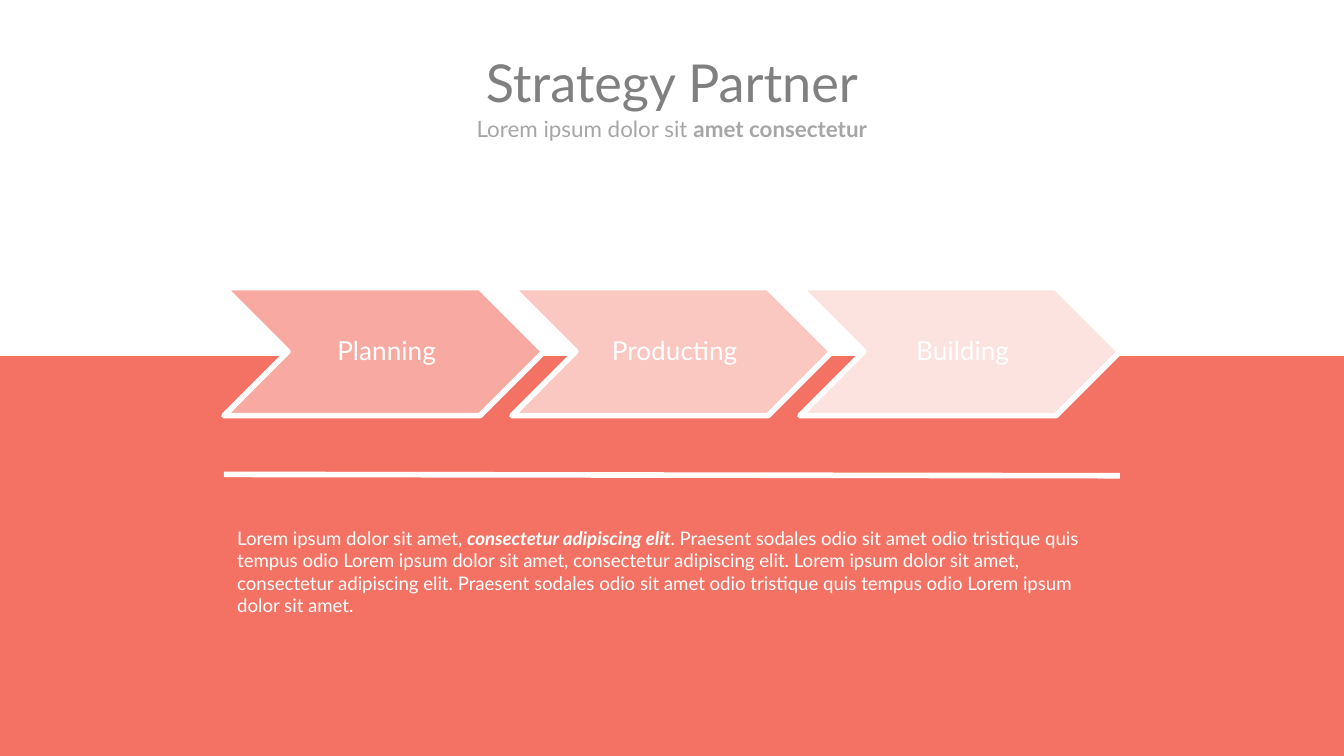
import pptx
import pptx.util
import pptx.dml.color
import pptx.enum.shapes
import pptx.enum.text
import pptx.oxml.ns
from lxml import etree

COLORS = {"coral": "F47264", "white": "FFFFFF", "title": "808080", "subtitle": "A6A6A6"}
FONT = "Lato"
TITLE = [("Strategy Partner", "")]
SUBTITLE = [("Lorem ipsum dolor sit ", ""), ("amet consectetur", "b")]
STEPS = [("Planning", "F8AAA2"), ("Producting", "FBC7C1"), ("Building", "FDE3E0")]
BODY = [
    ("Lorem ipsum dolor sit amet, ", ""),
    ("consectetur adipiscing elit", "bi"),
    (". Praesent sodales odio sit amet odio tristique quis tempus odio "
     "Lorem ipsum dolor sit amet, consectetur adipiscing elit. "
     "Lorem ipsum dolor sit amet, consectetur adipiscing elit. "
     "Praesent sodales odio sit amet odio tristique quis tempus odio "
     "Lorem ipsum dolor sit amet.", ""),
]

WIDTH = 10
HEIGHT = WIDTH * 9 / 16
BAND_TOP = 2.65
CONTENT_LEFT, CONTENT_WIDTH = WIDTH / 6, WIDTH * 2 / 3
STEP_WIDTH = CONTENT_WIDTH / 2.8
STEP_PITCH = STEP_WIDTH * 0.9
STEP_HEIGHT = STEP_WIDTH * 0.4
STEP_TOP = 2.14

Inches, Pt = pptx.util.Inches, pptx.util.Pt
SHAPE = pptx.enum.shapes.MSO_SHAPE
ALIGN = pptx.enum.text.PP_ALIGN
ANCHOR = pptx.enum.text.MSO_ANCHOR


def rgb(color):
    return pptx.dml.color.RGBColor.from_string(color)


def box(left, top, width, height):
    return [Inches(value) for value in (left, top, width, height)]


def write(frame, runs, size, color, align=ALIGN.LEFT, anchor=ANCHOR.TOP):
    frame.word_wrap = True
    frame.vertical_anchor = anchor
    paragraph = frame.paragraphs[0]
    paragraph.alignment = align
    for text, style in runs:
        run = paragraph.add_run()
        run.text = text
        run.font.name = FONT
        run.font.size = Pt(size)
        run.font.bold = "b" in style
        run.font.italic = "i" in style
        run.font.color.rgb = rgb(color)
    return paragraph


def add_filled(slide, kind, place, color):
    shape = slide.shapes.add_shape(kind, *place)
    shape.shadow.inherit = False
    shape.fill.solid()
    shape.fill.fore_color.rgb = rgb(color)
    return shape


def add_step(slide, index, label, color):
    left = CONTENT_LEFT + index * STEP_PITCH
    chevron = add_filled(slide, SHAPE.CHEVRON, box(left, STEP_TOP, STEP_WIDTH, STEP_HEIGHT), color)
    chevron.line.color.rgb = rgb(COLORS["white"])
    chevron.line.width = Pt(3)
    notch = STEP_HEIGHT / 2
    frame = slide.shapes.add_textbox(
        *box(left + notch, STEP_TOP, STEP_WIDTH - 2 * notch, STEP_HEIGHT)).text_frame
    frame.margin_left = Inches(0.06)
    frame.margin_top = frame.margin_right = frame.margin_bottom = Inches(0.02)
    paragraph = write(frame, [(label, "")], 14, COLORS["white"], ALIGN.CENTER, ANCHOR.MIDDLE)
    paragraph.line_spacing = 0.9


def add_divider(slide):
    divider = slide.shapes.add_connector(
        pptx.enum.shapes.MSO_CONNECTOR.STRAIGHT,
        Inches(CONTENT_LEFT), Inches(3.53),
        Inches(CONTENT_LEFT + CONTENT_WIDTH), Inches(3.54))
    divider.line.color.rgb = rgb(COLORS["white"])
    divider.line.width = Pt(3)
    etree.SubElement(divider._element.spPr, pptx.oxml.ns.qn("a:effectLst"))


def main():
    deck = pptx.Presentation()
    deck.slide_width, deck.slide_height = Inches(WIDTH), Inches(HEIGHT)
    slide = deck.slides.add_slide(deck.slide_layouts[5])

    band = add_filled(slide, SHAPE.RECTANGLE,
                      box(0, BAND_TOP, WIDTH, HEIGHT - BAND_TOP), COLORS["coral"])
    band.line.fill.background()

    title = slide.shapes.title
    title.left, title.top, title.width, title.height = box(0.5, 0.41, WIDTH - 1, 0.4)
    write(title.text_frame, TITLE, 28, COLORS["title"], ALIGN.CENTER, ANCHOR.MIDDLE)

    subtitle = slide.shapes.add_textbox(*box(0.5, 0.81, WIDTH - 1, 0.33))
    write(subtitle.text_frame, SUBTITLE, 12, COLORS["subtitle"], ALIGN.CENTER)

    for index, (label, color) in enumerate(STEPS):
        add_step(slide, index, label, color)

    add_divider(slide)

    body = slide.shapes.add_textbox(*box(CONTENT_LEFT, 3.87, CONTENT_WIDTH, 0.61))
    write(body.text_frame, BODY, 10, COLORS["white"])

    deck.save("out.pptx")


if __name__ == "__main__":
    main()
